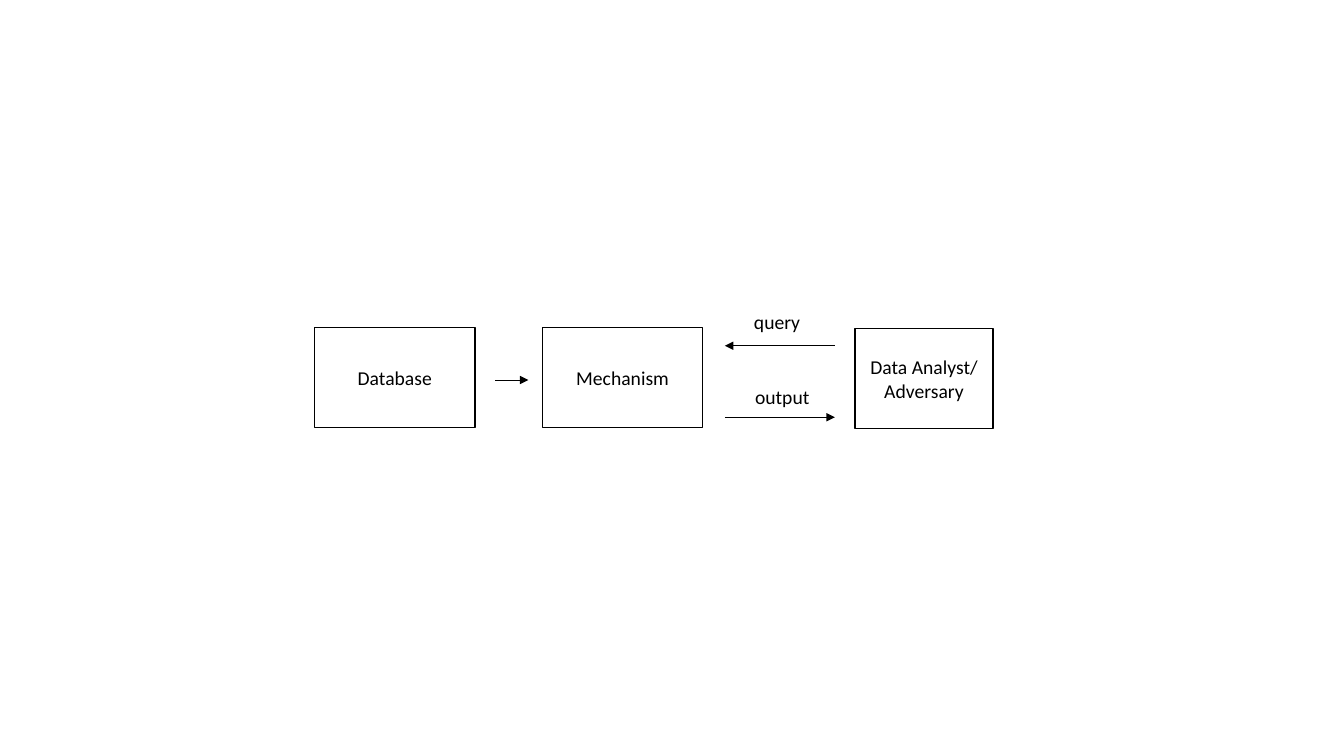
from lxml import etree
from pptx import Presentation
from pptx import util as u
from pptx.dml.color import RGBColor
from pptx.enum import shapes, text
from pptx.oxml.ns import qn


def color(value):
    return RGBColor.from_string(value)


def write(tf, lines, align):
    for i, line in enumerate(lines):
        p = tf.paragraphs[0] if i == 0 else tf.add_paragraph()
        p.alignment = align
        r = p.add_run()
        r.text = line
        for name, value in {"name": "Calibri", "size": u.Pt(14)}.items():
            setattr(r.font, name, value)
        r.font.color.rgb = color("000000")


prs = Presentation()
prs.slide_width, prs.slide_height = u.Inches(13.33), u.Inches(7.5)
s = prs.slides.add_slide(prs.slide_layouts[6])

boxes = [
    (3.12, 3.25, 1.59, ["Database"]),
    (5.38, 3.25, 1.59, ["Mechanism"]),
    (8.48, 3.26, 1.37, ["Data Analyst/", "Adversary"]),
]
for x, y, w, lines in boxes:
    sp = s.shapes.add_shape(shapes.MSO_SHAPE.RECTANGLE,
                            u.Inches(x), u.Inches(y), u.Inches(w), u.Inches(0.99))
    sp.shadow.inherit = False
    sp.fill.solid()
    sp.fill.fore_color.rgb = color("FFFFFF")
    sp.line.color.rgb = color("000000")
    sp.line.width = u.Pt(1)
    tf = sp.text_frame
    tf.vertical_anchor = text.MSO_ANCHOR.MIDDLE
    write(tf, lines, text.PP_ALIGN.CENTER)

arrows = [(4.91, 5.24, 3.77), (7.19, 8.28, 4.14), (8.28, 7.19, 3.43)]
for x1, x2, y in arrows:
    c = s.shapes.add_connector(shapes.MSO_CONNECTOR.STRAIGHT,
                               u.Inches(x1), u.Inches(y), u.Inches(x2), u.Inches(y))
    c.line.color.rgb = color("000000")
    c.line.width = u.Pt(0.5)
    etree.SubElement(c.line._get_or_add_ln(), qn("a:tailEnd"), type="triangle")
    etree.SubElement(c._element.spPr, qn("a:effectLst"))

labels = [(7.38, 3.03, 0.67, "query"), (7.39, 3.77, 0.75, "output")]
for x, y, w, label in labels:
    tf = s.shapes.add_textbox(u.Inches(x), u.Inches(y), u.Inches(w), u.Inches(0.34)).text_frame
    tf.word_wrap = False
    tf.auto_size = text.MSO_AUTO_SIZE.SHAPE_TO_FIT_TEXT
    write(tf, [label], text.PP_ALIGN.LEFT)

prs.save("out.pptx")
